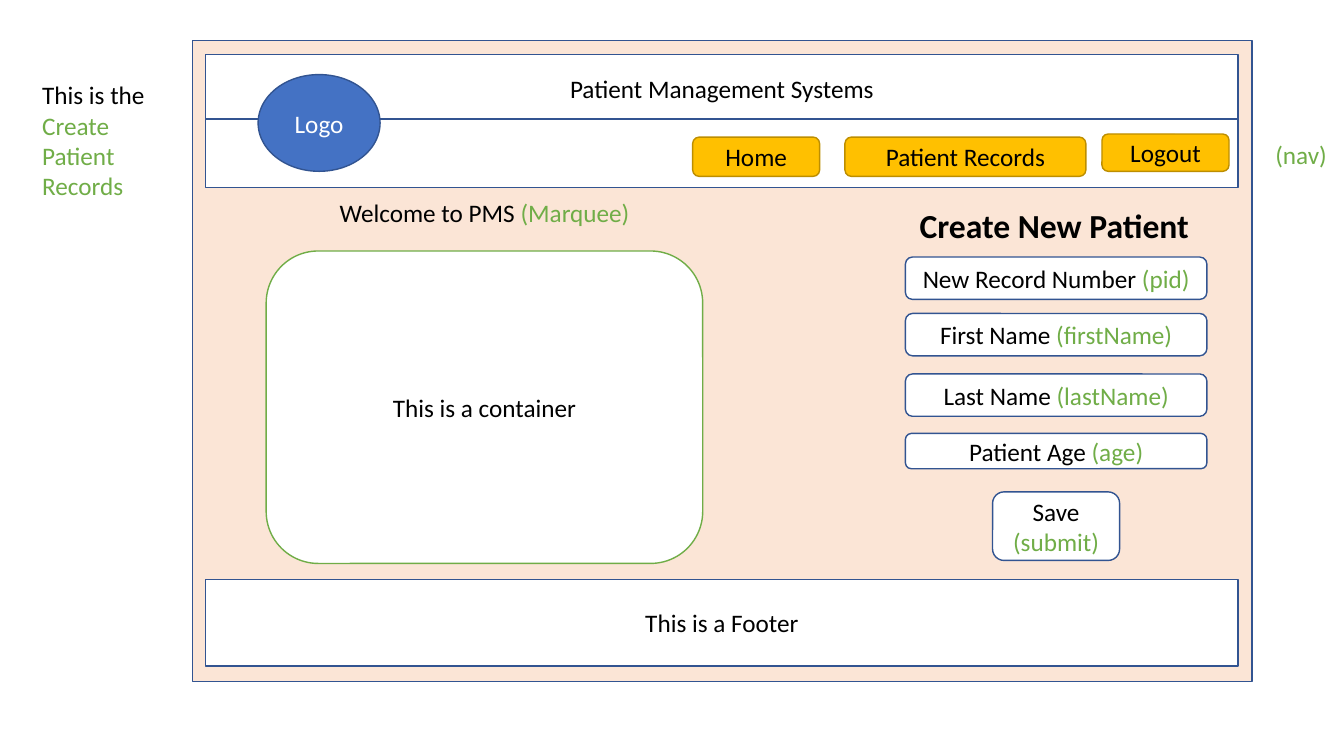
from dataclasses import dataclass
from pptx import Presentation
from pptx.dml.color import RGBColor
from pptx.enum.shapes import MSO_SHAPE as Kind
from pptx.enum.text import MSO_ANCHOR as Anchor, MSO_AUTO_SIZE as Fit, PP_ALIGN as Align
from pptx.util import Inches, Pt


@dataclass(frozen=True)
class Theme:
    """Colours, font and type sizes."""
    font: str = "Calibri"
    body: int = 18
    head: int = 24
    black: str = "000000"
    white: str = "FFFFFF"
    green: str = "70AD47"
    blue: str = "4472C4"
    navy: str = "325491"
    peach: str = "FBE5D6"
    gold: str = "FFC000"
    ochre: str = "BD8E00"


look = Theme()

# Each label is a list of paragraphs; each paragraph is (plain words, green words).
TITLE = "Create New Patient"
PAGE = (1.91, 0.4, 10.51, 6.36)
BAND_X, BAND_W = 2.04, 10.24
BANDS = [  # top, height, words
    (0.54, 0.68, "Patient Management Systems"),
    (5.75, 0.86, "This is a Footer"),
    (1.18, 0.68, ""),
]
BUTTONS = [  # left, top, width, height, words
    (6.87, 1.36, 1.26, 0.39, "Home"),
    (8.38, 1.36, 2.39, 0.39, "Patient Records"),
    (10.93, 1.33, 1.26, 0.37, "Logout"),
]
FIELD_X, FIELD_W = 8.98, 2.99
FIELDS = [  # top, height, words, field name
    (2.55, 0.42, "New Record Number ", "(pid)"),
    (3.11, 0.42, "First Name ", "(firstName)"),
    (3.71, 0.42, "Last Name ", "(lastName)"),
    (4.3, 0.35, "Patient Age ", "(age)"),
]
SAVE_W, SAVE_Y, SAVE_H = 1.26, 4.88, 0.68
NOTES = [  # box, label
    ((0.32, 0.74, 1.4, 1.31), [("This is the ", ""), ("", "Create Patient Records")]),
    ((3.27, 1.91, 3.7, 0.4), [("Welcome to PMS ", "(Marquee)")]),
    ((12.55, 1.33, 0.79, 0.4), [("", "(nav)")]),
]


def rgb(code):
    """Turn a hex code into a colour."""
    return RGBColor.from_string(code)


def style(run, color, size=look.body, bold=False):
    """Format one run."""
    font = run.font
    font.name, font.size, font.bold = look.font, Pt(size), bold
    font.color.rgb = rgb(color)


def write(frame, label, align, ink=look.black):
    """Fill a text frame, with the second part of each line in green."""
    frame.word_wrap = True
    for i, parts in enumerate(label):
        para = frame.add_paragraph() if i else frame.paragraphs[0]
        para.alignment = align
        for words, color in zip(parts, (ink, look.green)):
            if words:
                run = para.add_run()
                run.text = words
                style(run, color)


def draw(kind, box, plain="", green="", fill=look.white, line=look.navy, ink=look.black):
    """Add a filled, outlined shape with centred text."""
    shape = slide.shapes.add_shape(kind, *map(Inches, box))
    shape.shadow.inherit = False
    shape.fill.solid()
    shape.fill.fore_color.rgb = rgb(fill)
    shape.line.color.rgb = rgb(line)
    shape.line.width = Pt(1)
    shape.text_frame.vertical_anchor = Anchor.MIDDLE
    write(shape.text_frame, [(plain, green)], Align.CENTER, ink)


def place_title():
    """Set the form heading above the fields, in front of the page."""
    title = slide.shapes.title
    title.left, title.top, title.width, title.height = map(Inches, (9.02, 1.98, 3.08, 0.5))
    frame = title.text_frame
    frame.text = TITLE
    frame.auto_size = Fit.NONE
    frame.vertical_anchor = Anchor.TOP
    para = frame.paragraphs[0]
    para.alignment, para.line_spacing = Align.LEFT, 1.0
    style(para.runs[0], look.black, look.head, True)
    slide.shapes._spTree.append(title._element)


deck = Presentation()
deck.slide_width, deck.slide_height = Inches(13.33), Inches(7.5)
slide = deck.slides.add_slide(deck.slide_layouts[5])

draw(Kind.RECTANGLE, PAGE, fill=look.peach)
for top, high, words in BANDS:
    draw(Kind.RECTANGLE, (BAND_X, top, BAND_W, high), words)
for *box, words in BUTTONS:
    draw(Kind.ROUNDED_RECTANGLE, box, words, fill=look.gold, line=look.ochre)
draw(Kind.OVAL, (2.56, 0.74, 1.21, 0.96), "Logo", fill=look.blue, ink=look.white)
draw(Kind.ROUNDED_RECTANGLE, (2.64, 2.49, 4.33, 3.1), "This is a container", line=look.green)
for top, high, words, name in FIELDS:
    draw(Kind.ROUNDED_RECTANGLE, (FIELD_X, top, FIELD_W, high), words, name)
save_x = FIELD_X + (FIELD_W - SAVE_W) / 2
draw(Kind.ROUNDED_RECTANGLE, (save_x, SAVE_Y, SAVE_W, SAVE_H), "Save ", "(submit)")
for box, label in NOTES:
    note = slide.shapes.add_textbox(*map(Inches, box))
    write(note.text_frame, label, Align.LEFT)
place_title()

deck.save("out.pptx")
